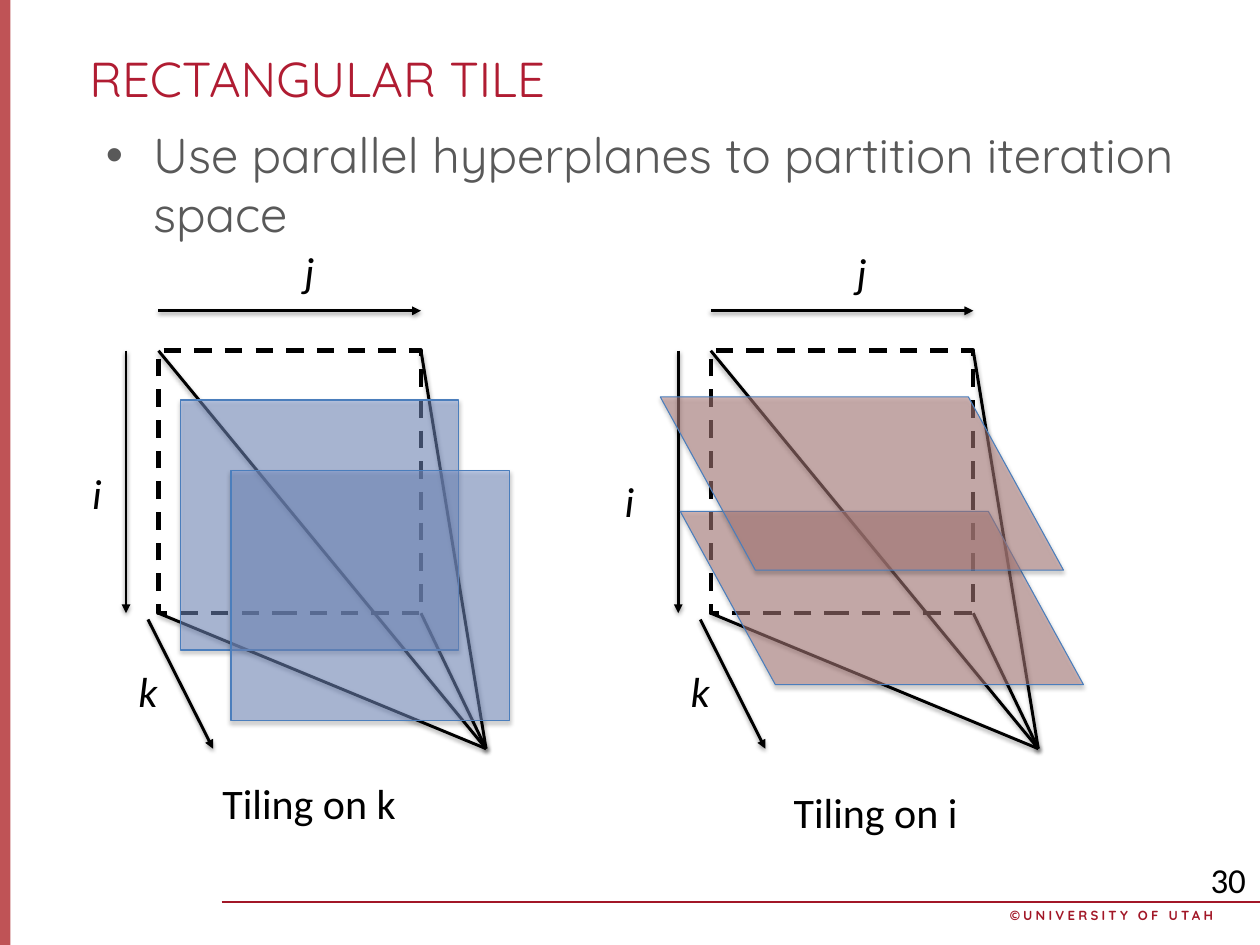
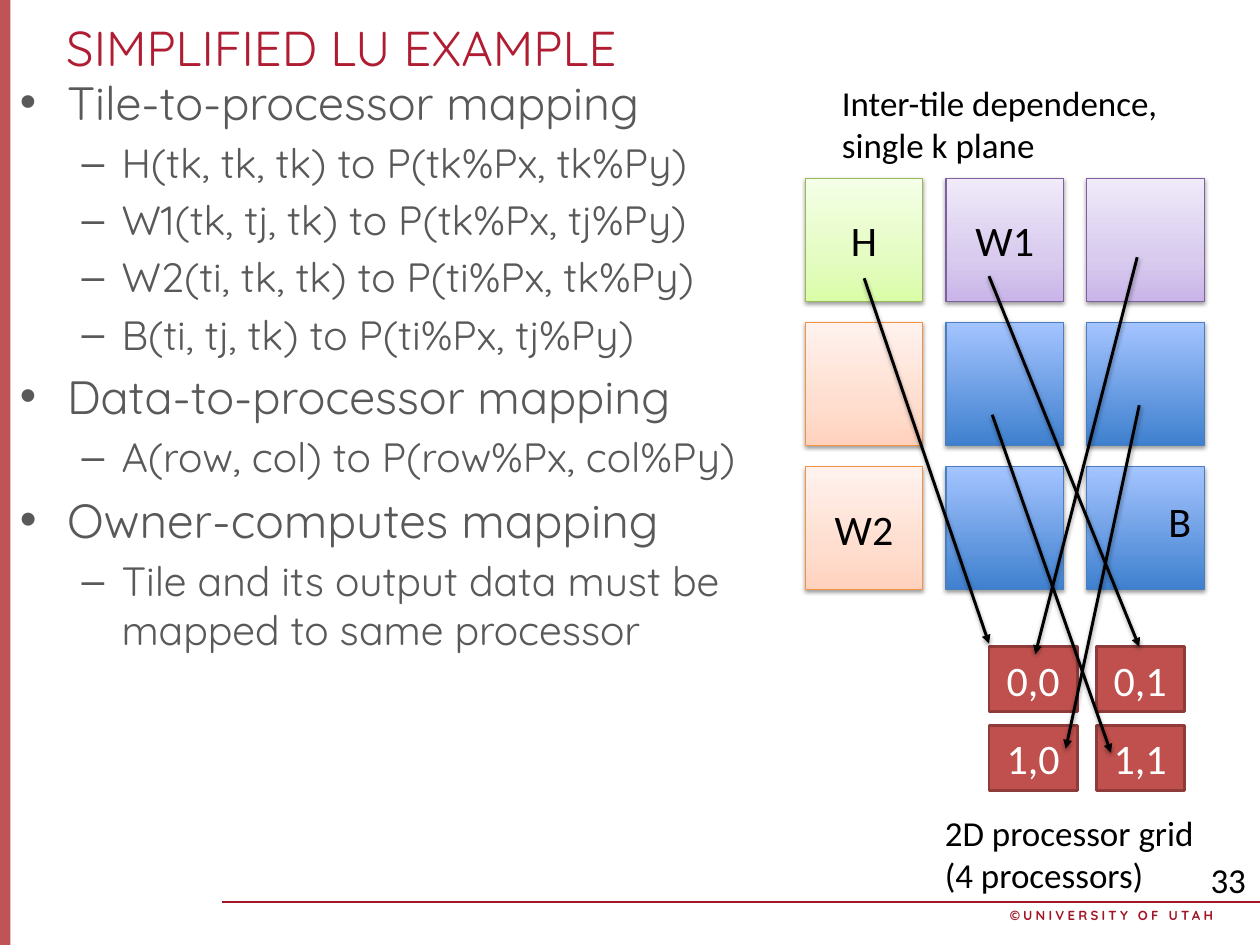
from lxml import etree
from pptx import Presentation
from pptx.dml.color import RGBColor
from pptx.enum import dml, shapes, text
from pptx.oxml.ns import qn
from pptx.util import Pt

HUES = {
    "bar": "AF282C", "rule": "A21727", "title": "B01C32", "body": "595959",
    "ink": "000000", "paper": "FFFFFF", "edge": "4B7EBC",
    "blue": "7D97CF", "pink": "B78482", "cpu": "C0504D", "rim": "8E3B39",
}
KINDS = {
    "H": ("98B955", [(0, "DAFDA7"), (35, "E4FCC2"), (100, "F5FFE7")]),
    "W1": ("7D60A0", [(0, "C9B5E8"), (35, "D8CBEE"), (100, "F0EAF9")]),
    "W2": ("F69240", [(0, "FFD2BD"), (35, "FFDED0"), (100, "FFF2ED")]),
    "B": (HUES["edge"], [(0, "3F80CE"), (100, "A4C4FF")]),
}
SANS, QUICK = "Calibri", "Quicksand"
RECT = shapes.MSO_SHAPE.RECTANGLE
SLANT = shapes.MSO_SHAPE.PARALLELOGRAM


def rgb(hue):
    """Turn a hex string into a colour."""
    return RGBColor.from_string(hue)


def sub(node, tag, **atts):
    """Append a drawing element."""
    return etree.SubElement(node, qn("a:" + tag), {k: str(v) for k, v in atts.items()})


def pts(*vals):
    """Turn numbers into point lengths."""
    return [Pt(round(v, 2)) for v in vals]


def say(par, words, size, hue=HUES["ink"], face=SANS, **style):
    """Add one run to a paragraph."""
    run = par.add_run()
    run.text = words
    run.font.size, run.font.name = Pt(size), face
    run.font.color.rgb = rgb(hue)
    for key, val in style.items():
        setattr(run.font, key, val)
    return run


def note(slide, box, lines, size, wrap=False, **style):
    """Place a plain text box, one paragraph per line."""
    frame = slide.shapes.add_textbox(*pts(*box)).text_frame
    frame.word_wrap = wrap
    for n, words in enumerate(lines):
        par = frame.add_paragraph() if n else frame.paragraphs[0]
        say(par, words, size, **style)
    return frame


def shade(item, alpha=38, dist=1.6):
    """Give a shape or line a soft shadow below."""
    props = item._element.spPr
    effect = props.find(qn("a:effectLst"))
    if effect is None:
        effect = sub(props, "effectLst")
    drop = sub(effect, "outerShdw", blurRad=Pt(3.1), dist=Pt(dist), dir=5400000, rotWithShape=0)
    sub(sub(drop, "srgbClr", val=HUES["ink"]), "alpha", val=alpha * 1000)


def block(slide, box, fill=None, edge=None, width=0.75, alpha=None, form=RECT):
    """Place a preset shape with flat fill and edge."""
    item = slide.shapes.add_shape(form, *pts(*box))
    item.shadow.inherit = False
    if fill:
        item.fill.solid()
        item.fill.fore_color.rgb = rgb(fill)
        if alpha:
            hue = item._element.spPr.find(qn("a:solidFill"))[0]
            sub(hue, "alpha", val=alpha * 1000)
    else:
        item.fill.background()
    if edge:
        item.line.color.rgb = rgb(edge)
        item.line.width = Pt(width)
    else:
        item.line.fill.background()
    return item


def label(item, words, hue):
    """Centre a short label in a shape."""
    frame = item.text_frame
    frame.vertical_anchor = text.MSO_ANCHOR.MIDDLE
    par = frame.paragraphs[0]
    par.alignment = text.PP_ALIGN.CENTER
    say(par, words, 28.8, hue)


def link(slide, start, end, tip=False, hue=HUES["ink"], width=2, soft=True):
    """Draw a straight line, with an arrowhead if asked."""
    line = slide.shapes.add_connector(shapes.MSO_CONNECTOR.STRAIGHT, *pts(*start, *end))
    line.line.color.rgb = rgb(hue)
    line.line.width = Pt(width)
    if tip:
        sub(line._element.spPr.find(qn("a:ln")), "tailEnd", type="triangle")
    if soft:
        shade(line)
    else:
        sub(line._element.spPr, "effectLst")


def base(deck, title, left, top, page):
    """Start a slide with its title, side bar and footer."""
    slide = deck.slides.add_slide(deck.slide_layouts[5])
    block(slide, (0, 0, 7.2, 648), HUES["bar"], alpha=80)
    link(slide, (152, 618.5), (864, 618.5), hue=HUES["rule"], width=1, soft=False)
    foot = note(slide, (617.8, 618.5, 221, 18), ["©UNIVERSITY OF UTAH"], 9, True,
                hue=HUES["rule"], face=QUICK, bold=True)
    par = foot.paragraphs[0]
    par.alignment = text.PP_ALIGN.RIGHT
    par.runs[0].font._element.set("spc", "220")
    note(slide, (823, 585.4, 43.2, 36), [page], 24)
    head = slide.shapes.title
    head.left, head.top, head.width, head.height = pts(left, top, 755.3, 51.8)
    frame = head.text_frame
    frame.auto_size = text.MSO_AUTO_SIZE.NONE
    frame.vertical_anchor = text.MSO_ANCHOR.TOP
    frame.paragraphs[0].alignment = text.PP_ALIGN.LEFT
    say(frame.paragraphs[0], title, 33.6, HUES["title"], QUICK)
    return slide


def points(slide, box, items):
    """Place a bulleted list of (level, size, words)."""
    frame = slide.shapes.add_textbox(*pts(*box)).text_frame
    frame.word_wrap = True
    for n, (level, size, words) in enumerate(items):
        par = frame.add_paragraph() if n else frame.paragraphs[0]
        mark, left, hang = [("•", 32.4, 32.4), ("–", 69.8, 27.4)][level]
        props = par._p.get_or_add_pPr()
        props.set("marL", str(Pt(left)))
        props.set("indent", str(-Pt(hang)))
        sub(props, "buFont", typeface="Arial")
        sub(props, "buChar", char=mark)
        par.level = level
        if n:
            par.space_before = Pt(round(size * 0.2, 1))
        say(par, words, size, HUES["body"], QUICK)


def prism(slide, x, y, name, tags, planes):
    """Draw an iteration space from its corner, cut by two planes."""
    side, apex = 180, (x + 224.6, y + 272.9)
    frame = block(slide, (x, y, side, side), edge=HUES["ink"], width=3)
    frame.line.dash_style = dml.MSO_LINE.DASH
    for dx, dy in [(0, side), (0, 0), (side, 0), (side, side)]:
        link(slide, (x + dx, y + dy), apex)
    for start, end in [((0, -27.4), (side, -27.4)), ((-7.2, 184.3), (37.4, 272.9)),
                       ((-22.3, 0), (-22.3, side))]:
        link(slide, (x + start[0], y + start[1]), (x + end[0], y + end[1]), True)
    form, hue, alpha, size, spots = planes
    for dx, dy in spots:
        plane = block(slide, (x + dx, y + dy, *size), hue, HUES["edge"], alpha=alpha, form=form)
        if form == SLANT:
            plane.adjustments[0] = 0.549
            plane._element.spPr.find(qn("a:xfrm")).set("flipV", "1")
        shade(plane, 35, 1.8)
    for words, dx, dy, wide in tags:
        note(slide, (x + dx, y + dy, wide, 42.5), [words], 28.8, italic=words != name)


def tiles(slide, x, y):
    """Draw the three by three grid of tiles."""
    grid = [("H", "W1", "W1"), ("W2", "B", "B"), ("W2", "B", "B")]
    names = {(0, 0): "H", (0, 1): "W1", (2, 0): "W2"}
    for r, row in enumerate(grid):
        for c, kind in enumerate(row):
            edge, stops = KINDS[kind]
            tile = block(slide, (x + c * 96.5, y + r * 98.9, 80.6, 84.2), edge=edge)
            tile.fill.gradient()
            tile.fill.gradient_angle = 90
            ramp = tile._element.spPr.find(qn("a:gradFill")).find(qn("a:gsLst"))
            for old in list(ramp):
                ramp.remove(old)
            for at, hue in stops:
                sub(sub(ramp, "gs", pos=at * 1000), "srgbClr", val=hue)
            shade(tile)
            if (r, c) in names:
                label(tile, names[r, c], HUES["ink"])
    note(slide, (x + 241.9, y + 213.8, 30.2, 42.5), ["B"], 28.8)


def chips(slide, x, y):
    """Draw the two by two grid of processors."""
    for r in range(2):
        for c in range(2):
            chip = block(slide, (x + c * 73.4, y + r * 54, 60.5, 44.6),
                         HUES["cpu"], HUES["rim"], 2)
            label(chip, f"{r},{c}", HUES["paper"])


def tiling(deck):
    """Build the slide on rectangular tiles."""
    slide = base(deck, "RECTANGULAR TILE", 54, 29.5, "30")
    points(slide, (65.5, 82, 755.3, 505.4),
           [(0, 33.6, "Use parallel hyperplanes to partition iteration space")])
    prism(slide, 487.4, 240.5, "Tiling on i",
          [("j", 92.9, -74.9, 21.6), ("i", -66.2, 82.1, 21.6), ("k", -20.9, 212.4, 28),
           ("Tiling on i", 49.7, 295.2, 128.2)],
          (SLANT, HUES["pink"], 53, (276.5, 118.8), [(-20.9, 110.2), (-34.6, 31.7)]))
    prism(slide, 108.7, 240.5, "Tiling on k",
          [("j", 92.9, -75.6, 21.6), ("i", -52.6, 76.3, 21.6), ("k", -20.9, 212.4, 28),
           ("Tiling on k", 36.7, 289.4, 134.6)],
          (RECT, HUES["blue"], 50, (190.8, 171.4), [(15.1, 33.8), (49.7, 82.1)]))


def mapping(deck):
    """Build the slide on mapping tiles to processors."""
    slide = base(deck, "SIMPLIFIED LU EXAMPLE", 38.2, 8.6, "33")
    points(slide, (6.5, 46.8, 596.2, 578), [
        (0, 32, "Tile-to-processor mapping"),
        (1, 28, "H(tk, tk, tk) to P(tk%Px, tk%Py)"),
        (1, 28, "W1(tk, tj, tk) to P(tk%Px, tj%Py)"),
        (1, 28, "W2(ti, tk, tk) to P(ti%Px, tk%Py)"),
        (1, 28, "B(ti, tj, tk) to P(ti%Px, tj%Py)"),
        (0, 32, "Data-to-processor mapping"),
        (1, 28, "A(row, col) to P(row%Px, col%Py)"),
        (0, 32.8, "Owner-computes mapping"),
        (1, 28, "Tile and its output data must be mapped to same processor"),
    ])
    tiles(slide, 552.2, 122.4)
    note(slide, (570.2, 52.6, 239, 65.5), ["Inter-tile dependence,", "single k plane"], 24)
    note(slide, (640.8, 553, 223.2, 65.5), ["2D processor grid", "(4 processors)"], 24, True)
    chips(slide, 678.2, 443.5)
    for start, end in [((592.6, 190.8), (678.2, 441.4)), ((678.2, 189.4), (781.2, 443.5)),
                       ((779.8, 176.4), (709.9, 448.6)), ((680.4, 284.4), (761.8, 516.2)),
                       ((781.2, 277.9), (730.8, 513.4))]:
        link(slide, start, end, True)


def main():
    """Build and save the deck."""
    deck = Presentation()
    deck.slide_width, deck.slide_height = pts(864, 648)
    tiling(deck)
    mapping(deck)
    deck.save("out.pptx")


if __name__ == "__main__":
    main()
